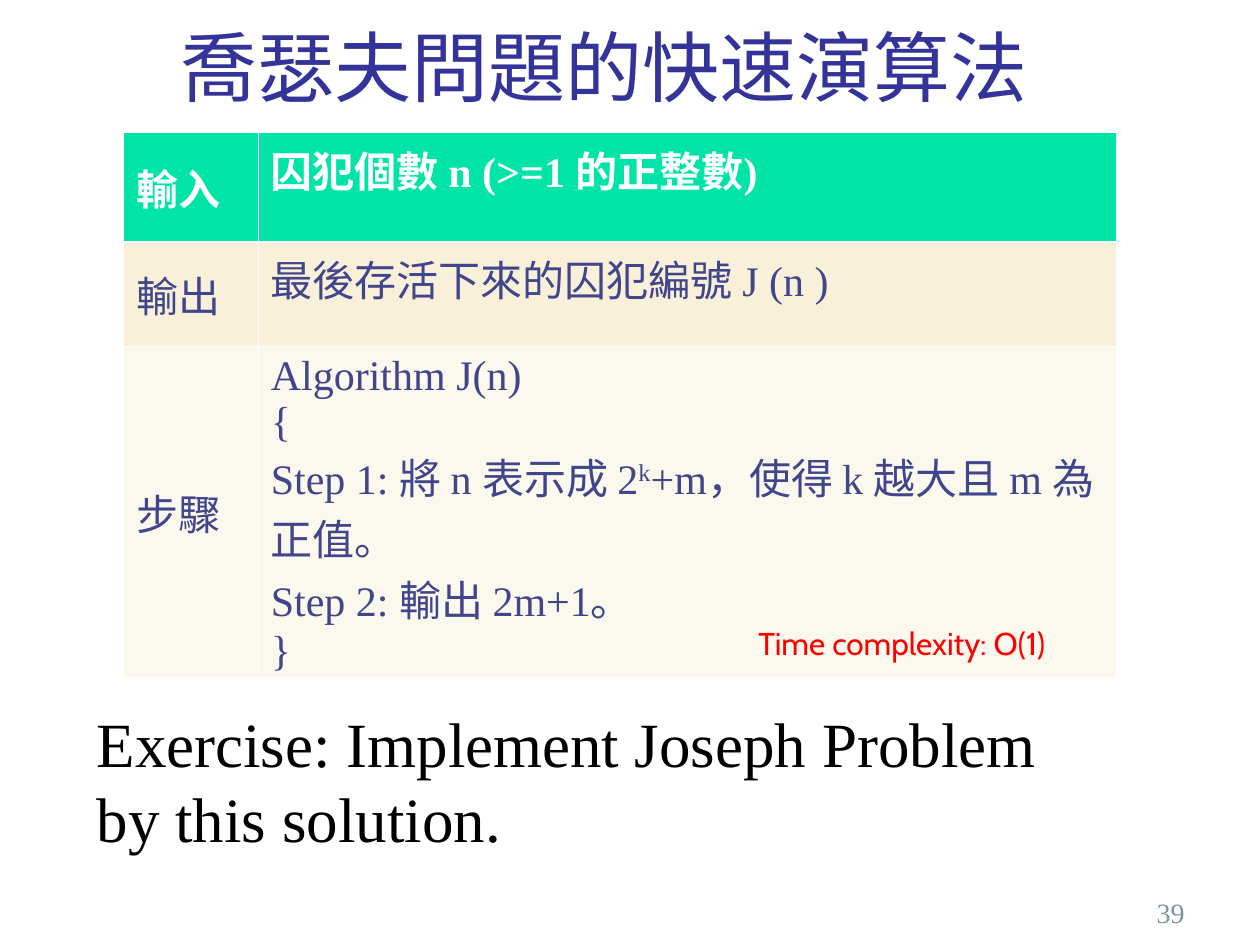
from lxml.etree import SubElement
from pptx import Presentation
from pptx.dml.color import RGBColor
from pptx.enum.text import MSO_ANCHOR, PP_ALIGN
from pptx.oxml.ns import qn
from pptx.util import Inches, Pt

# Content
TITLE = "喬瑟夫問題的快速演算法"
ROWS = [  # label, paragraphs of (text, superscript?) runs
    ("輸入", [[("囚犯個數 n (>=1 的正整數)", False)]]),
    ("輸出", [[("最後存活下來的囚犯編號 J (n )", False)]]),
    ("步驟", [
        [("Algorithm J(n)", False)],
        [("{", False)],
        [("Step 1: 將 n 表示成 2", False), ("k", True),
         ("+m，使得 k 越大且 m 為正值。", False)],
        [("Step 2: 輸出 2m+1。", False)],
        [("}", False)],
    ]),
]
EXERCISE = "Exercise: Implement Joseph Problem by this solution."
COMPLEXITY = "Time complexity: O(1)"
PAGE = "39"

THEME = {
    "cjk": "Noto Sans CJK SC", "serif": "Times New Roman", "note": "Cabin",
    "title": (44, "333399"), "head": (24, "FFFFFF"), "body": (24, "40458C"),
    "exercise": (36, "000000"), "complexity": (18, "FF0000"),
    "page": (16, "7B9899"),
    "fills": ["00E4A8", "F8F0D8", "FBF8ED"],
    "border": "FFFFFF", "thin": 0.45, "thick": 1.47,
}
COLS = [1.07, 6.81]
HEIGHTS = [0.87, 0.83, 2.63]


def style(r, role, face, bold=False):
    size, color = THEME[role]
    r.font.size, r.font.bold = Pt(size), bold
    r.font.color.rgb = RGBColor.from_string(color)
    r.font.name = face
    SubElement(r.font._element, qn("a:ea")).set("typeface", THEME["cjk"])


def add_text(s, box, text, role, face, align=PP_ALIGN.LEFT,
             anchor=MSO_ANCHOR.TOP, inset=True):
    tf = s.shapes.add_textbox(*map(Inches, box)).text_frame
    tf.word_wrap, tf.vertical_anchor = True, anchor
    if not inset:
        tf.margin_left = tf.margin_right = tf.margin_top = tf.margin_bottom = 0
    p = tf.paragraphs[0]
    p.text, p.alignment = text, align
    style(p.runs[0], role, face)


def set_borders(cell, top, bottom):
    tcPr = cell._tc.get_or_add_tcPr()
    sides = [("L", THEME["thin"]), ("R", THEME["thin"]), ("T", top), ("B", bottom)]
    for side, width in sides:
        ln = SubElement(tcPr, qn(f"a:ln{side}"), w=str(Pt(width)))
        fill = SubElement(ln, qn("a:solidFill"))
        SubElement(fill, qn("a:srgbClr"), val=THEME["border"])


def fill_cell(cell, paragraphs, row):
    tf = cell.text_frame
    for i, runs in enumerate(paragraphs):
        p = tf.add_paragraph() if i else tf.paragraphs[0]
        for text, superscript in runs:
            r = p.add_run()
            r.text = text
            style(r, "body" if row else "head", THEME["serif"], bold=row == 0)
            if superscript:
                r.font._element.set("baseline", "30000")
    # Thick rule between the header and the rows below it
    set_borders(cell, THEME["thick" if row == 1 else "thin"],
                THEME["thick" if row == 0 else "thin"])
    cell.fill.solid()
    cell.fill.fore_color.rgb = RGBColor.from_string(THEME["fills"][row])


def add_algorithm_table(s):
    box = (0.98, 1.05, sum(COLS), sum(HEIGHTS))
    table = s.shapes.add_table(len(ROWS), len(COLS), *map(Inches, box)).table
    for column, width in zip(table.columns, COLS):
        column.width = Inches(width)
    for i, (label, paragraphs) in enumerate(ROWS):
        table.rows[i].height = Inches(HEIGHTS[i])
        fill_cell(table.cell(i, 0), [[(label, False)]], i)
        table.cell(i, 0).vertical_anchor = MSO_ANCHOR.MIDDLE
        fill_cell(table.cell(i, 1), paragraphs, i)


def main():
    prs = Presentation()
    prs.slide_width, prs.slide_height = Inches(10), Inches(7.5)
    s = prs.slides.add_slide(prs.slide_layouts[6])

    # Title and page number
    add_text(s, (0.54, -0.11, 8.52, 1), TITLE, "title", THEME["cjk"],
             PP_ALIGN.CENTER, MSO_ANCHOR.BOTTOM, inset=False)
    add_text(s, (7.42, 6.92, 2.08, 0.5), PAGE, "page", THEME["serif"],
             PP_ALIGN.RIGHT, MSO_ANCHOR.BOTTOM)

    # Algorithm, exercise and running time
    add_algorithm_table(s)
    add_text(s, (0.67, 5.54, 8.27, 1.3), EXERCISE, "exercise", THEME["serif"])
    add_text(s, (5.92, 4.9, 2.99, 0.4), COMPLEXITY, "complexity", THEME["note"])

    prs.save("out.pptx")


if __name__ == "__main__":
    main()
